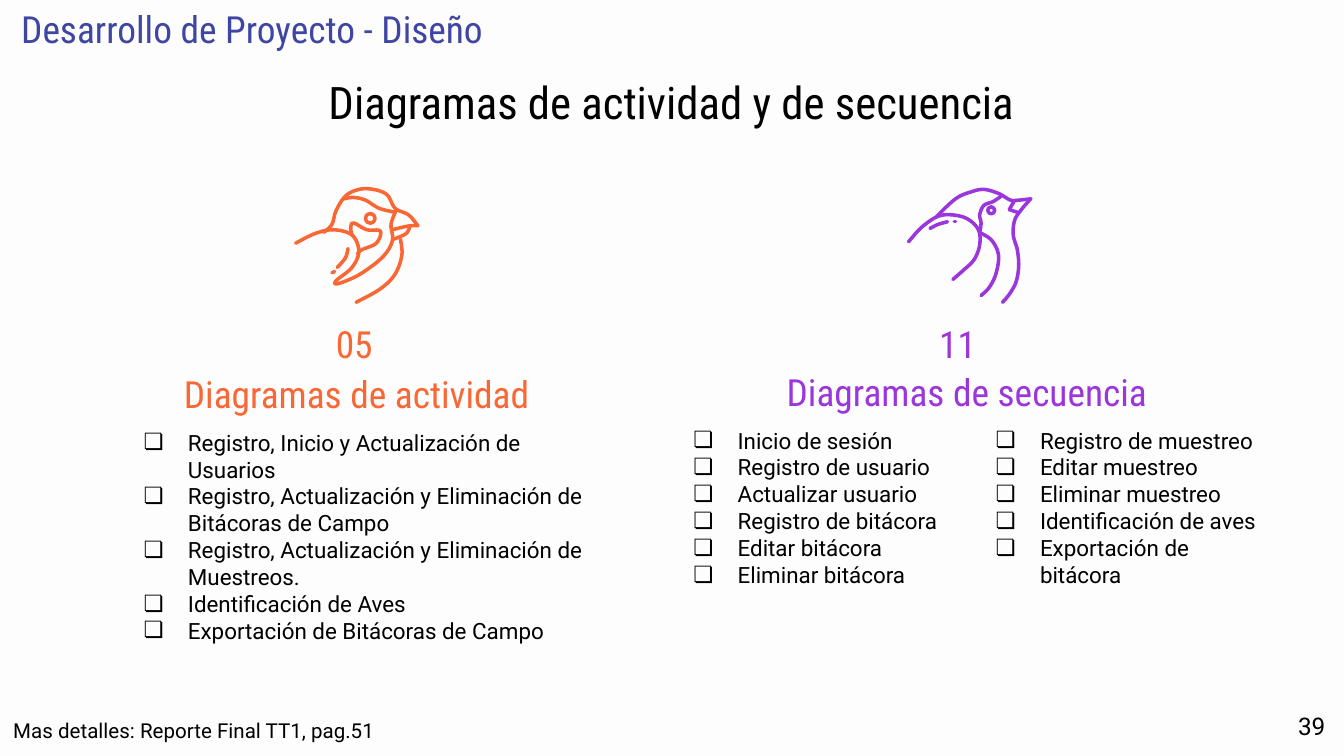
from dataclasses import dataclass

from lxml import etree
from pptx import Presentation
from pptx.dml.color import RGBColor
from pptx.enum.shapes import MSO_SHAPE
from pptx.enum.text import MSO_ANCHOR, MSO_AUTO_SIZE, PP_ALIGN
from pptx.oxml.ns import qn
from pptx.util import Pt

PX = 9144
WIDTH = 1000 * PX
HEIGHT = WIDTH * 9 // 16
LEFT, CENTER, RIGHT = PP_ALIGN.LEFT, PP_ALIGN.CENTER, PP_ALIGN.RIGHT
TOP, MIDDLE = MSO_ANCHOR.TOP, MSO_ANCHOR.MIDDLE
FIXED, GROW = MSO_AUTO_SIZE.NONE, MSO_AUTO_SIZE.SHAPE_TO_FIT_TEXT
OVAL = MSO_SHAPE.OVAL


@dataclass(frozen=True)
class Theme:
    back: str = "FDFDFD"
    ink: str = "000000"
    blue: str = "3E45A2"
    orange: str = "F86734"
    purple: str = "9B36DD"
    head: str = "Roboto Condensed"
    body: str = "Roboto"
    title: int = 24
    large: int = 20
    page: int = 13
    item: int = 12
    note: int = 11
    stroke: float = 1.9


THEME = Theme()

SPARROW = [
    [(220, 181), (234, 174), (248, 171), (262, 175), (267, 187), (262, 199),
     (250, 209), (252, 211), (268, 204), (285, 191), (292, 179), (291, 167), (295, 156)],
    [(241, 173), (247, 167), (250, 157), (257, 146), (267, 141), (278, 141),
     (288, 145), (294, 155), (304, 160), (311, 168)],
    [(311, 168), (306, 168), (300, 169), (292, 171)],
    [(305, 169), (302, 174), (293, 178)],
    [(256, 148), (263, 147), (272, 149), (282, 155), (294, 158)],
    [(262, 175), (261, 170), (263, 166), (273, 171), (283, 172), (280, 181),
     (269, 186), (266, 189)],
    [(298, 178), (299, 190), (294, 204), (283, 215), (265, 225)],
    [(259, 185), (257, 192), (251, 199)],
    [(247, 203), (249, 202)],
]
WREN = [
    [(676, 180), (686, 169), (698, 161), (709, 160), (720, 163), (728, 171),
     (729, 182), (725, 193), (717, 201), (709, 208)],
    [(697, 161), (711, 148), (722, 143), (732, 141), (743, 144), (752, 149),
     (758, 149), (767, 148)],
    [(767, 148), (760, 156), (755, 164), (754, 175), (757, 186), (758, 198),
     (756, 210), (751, 219), (746, 225)],
    [(755, 149), (751, 156)],
    [(751, 156), (757, 158)],
    [(745, 146), (739, 150), (732, 153), (729, 160), (730, 166), (729, 173)],
    [(729, 173), (738, 179), (743, 190), (741, 204), (736, 214), (730, 220)],
    [(692, 170), (698, 167), (705, 165)],
    [(710, 165), (711, 165)],
]
ACTIVITY = [
    "Registro, Inicio y Actualización de Usuarios",
    "Registro, Actualización y Eliminación de Bitácoras de Campo",
    "Registro, Actualización y Eliminación de Muestreos.",
    "Identificación de Aves",
    "Exportación de Bitácoras de Campo",
]
SESSION = ["Inicio de sesión", "Registro de usuario", "Actualizar usuario",
           "Registro de bitácora", "Editar bitácora", "Eliminar bitácora"]
SAMPLE = ["Registro de muestreo", "Editar muestreo", "Eliminar muestreo",
          "Identificación de aves", "Exportación de bitácora"]


def apply(target, values):
    for name, value in values.items():
        setattr(target, name, value)


def add_bullet(para):
    props = para._p.get_or_add_pPr()
    props.set("marL", str(50 * PX))
    props.set("indent", str(-33 * PX))
    color = etree.SubElement(props, qn("a:buClr"))
    etree.SubElement(color, qn("a:srgbClr"), val=THEME.ink)
    etree.SubElement(props, qn("a:buFont"), typeface=THEME.body)
    etree.SubElement(props, qn("a:buChar"), char="❏")


def add_text(slide, area, lines, size, face, color,
             align=LEFT, anchor=MIDDLE, fit=FIXED, bullet=False):
    frame = slide.shapes.add_textbox(*(v * PX for v in area)).text_frame
    apply(frame, {"word_wrap": True, "auto_size": fit, "vertical_anchor": anchor})
    apply(frame, {f"margin_{side}": 10 * PX
                  for side in ("left", "top", "right", "bottom")})
    for index, line in enumerate(lines):
        para = frame.add_paragraph() if index else frame.paragraphs[0]
        para.alignment = align
        if bullet:
            add_bullet(para)
        run = para.add_run()
        run.text = line
        apply(run.font, {"size": Pt(size), "name": face})
        run.font.color.rgb = RGBColor.from_string(color)


def add_head(slide, area, text, color, align=LEFT):
    add_text(slide, area, [text], THEME.large, THEME.head, color, align)


def add_list(slide, area, items):
    add_text(slide, area, items, THEME.item, THEME.body, THEME.ink,
             fit=GROW, bullet=True)


def blend(a, b, c, d, t):
    return (2 * b + (c - a) * t + (2 * a - 5 * b + 4 * c - d) * t ** 2
            + (3 * b - a - 3 * c + d) * t ** 3) / 2


def smooth(points, steps=8):
    ends = [points[0], *points, points[-1]]
    for four in zip(ends, ends[1:], ends[2:], ends[3:]):
        for step in range(1, steps + 1):
            yield tuple(round(blend(*axis, step / steps) * PX) for axis in zip(*four))


def set_stroke(shape, color):
    shape.shadow.inherit = False
    shape.fill.background()
    shape.line.color.rgb = RGBColor.from_string(color)
    shape.line.width = Pt(THEME.stroke)
    shape._element.spPr.find(qn("a:ln")).set("cap", "rnd")


def add_curves(slide, curves, color):
    starts = [tuple(v * PX for v in curve[0]) for curve in curves]
    pen = slide.shapes.build_freeform(*starts[0])
    for index, curve in enumerate(curves):
        if index:
            pen.move_to(*starts[index])
        pen.add_line_segments(list(smooth(curve)), close=False)
    set_stroke(pen.convert_to_shape(), color)


def add_bird(slide, curves, eye, color):
    for part in (curves[:-2], curves[-2:-1], curves[-1:]):
        add_curves(slide, part, color)
    set_stroke(slide.shapes.add_shape(OVAL, *(v * PX for v in eye)), color)


def main():
    deck = Presentation()
    apply(deck, {"slide_width": WIDTH, "slide_height": HEIGHT})
    slide = deck.slides.add_slide(deck.slide_layouts[6])
    slide.background.fill.solid()
    slide.background.fill.fore_color.rgb = RGBColor.from_string(THEME.back)

    add_head(slide, (6, 6, 430, 31), "Desarrollo de Proyecto - Diseño", THEME.blue)
    add_text(slide, (49, 45, 901, 61), ["Diagramas de actividad y de secuencia"],
             THEME.title, THEME.head, THEME.ink, CENTER, fit=GROW)

    add_bird(slide, SPARROW, (272, 159, 7, 7), THEME.orange)
    add_head(slide, (240, 243, 52, 26), "05", THEME.orange)
    add_head(slide, (80, 277, 371, 31), "Diagramas de actividad", THEME.orange, CENTER)
    add_list(slide, (80, 308, 371, 182), ACTIVITY)

    add_bird(slide, WREN, (735, 154, 5, 5), THEME.purple)
    add_head(slide, (689, 243, 60, 26), "11", THEME.purple)
    add_head(slide, (489, 276, 461, 31), "Diagramas de secuencia", THEME.purple, CENTER)
    add_list(slide, (489, 307, 231, 141), SESSION)
    add_list(slide, (714, 307, 236, 141), SAMPLE)

    add_text(slide, (0, 524, 297, 34), ["Mas detalles: Reporte Final TT1, pag.51"],
             THEME.note, THEME.body, THEME.ink, anchor=TOP)
    add_text(slide, (936, 519, 60, 43), ["39"], THEME.page, THEME.body, THEME.ink,
             RIGHT, TOP)
    deck.save("out.pptx")


if __name__ == "__main__":
    main()
